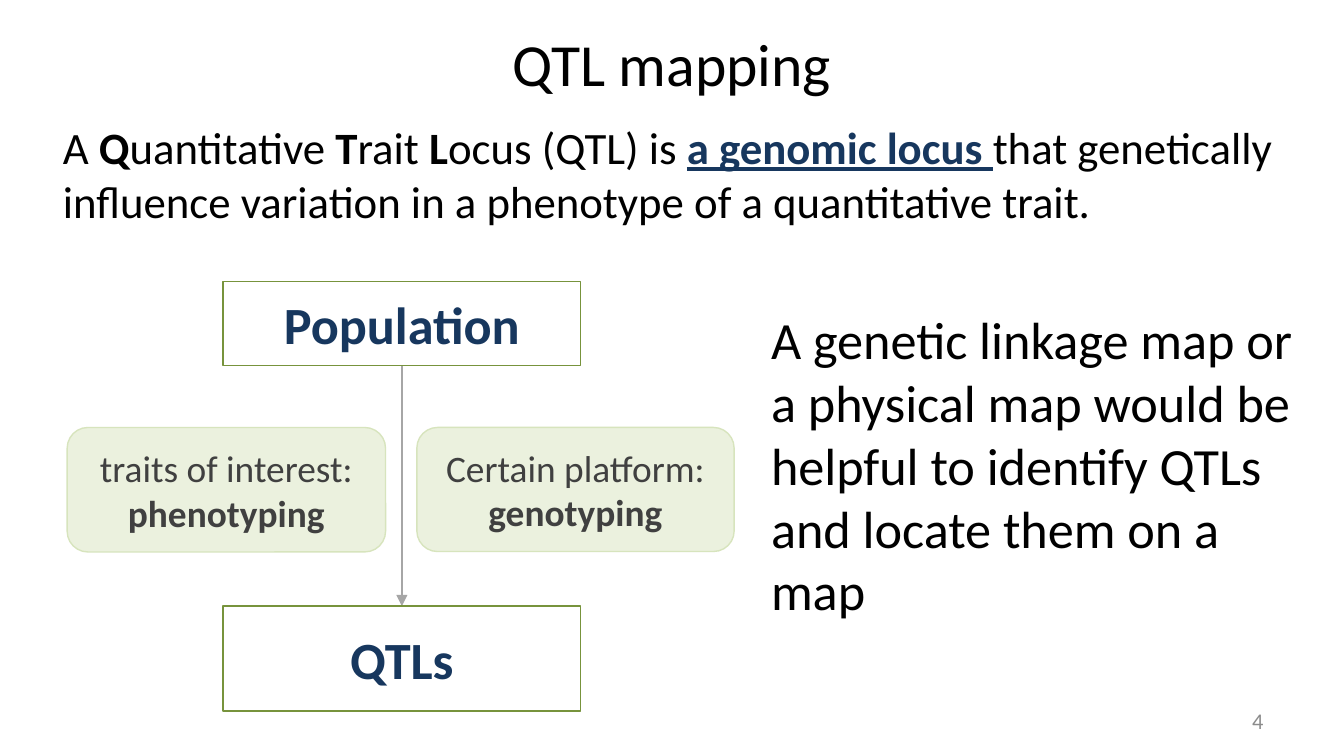
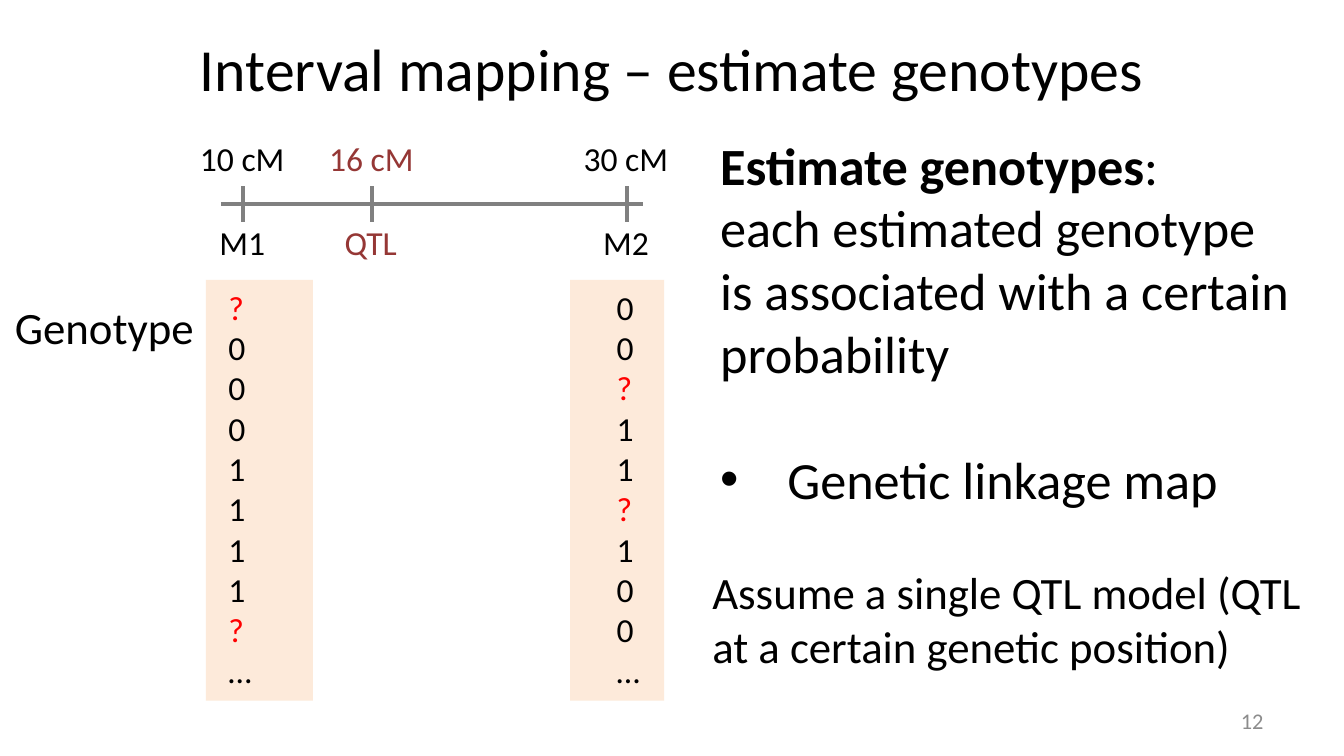
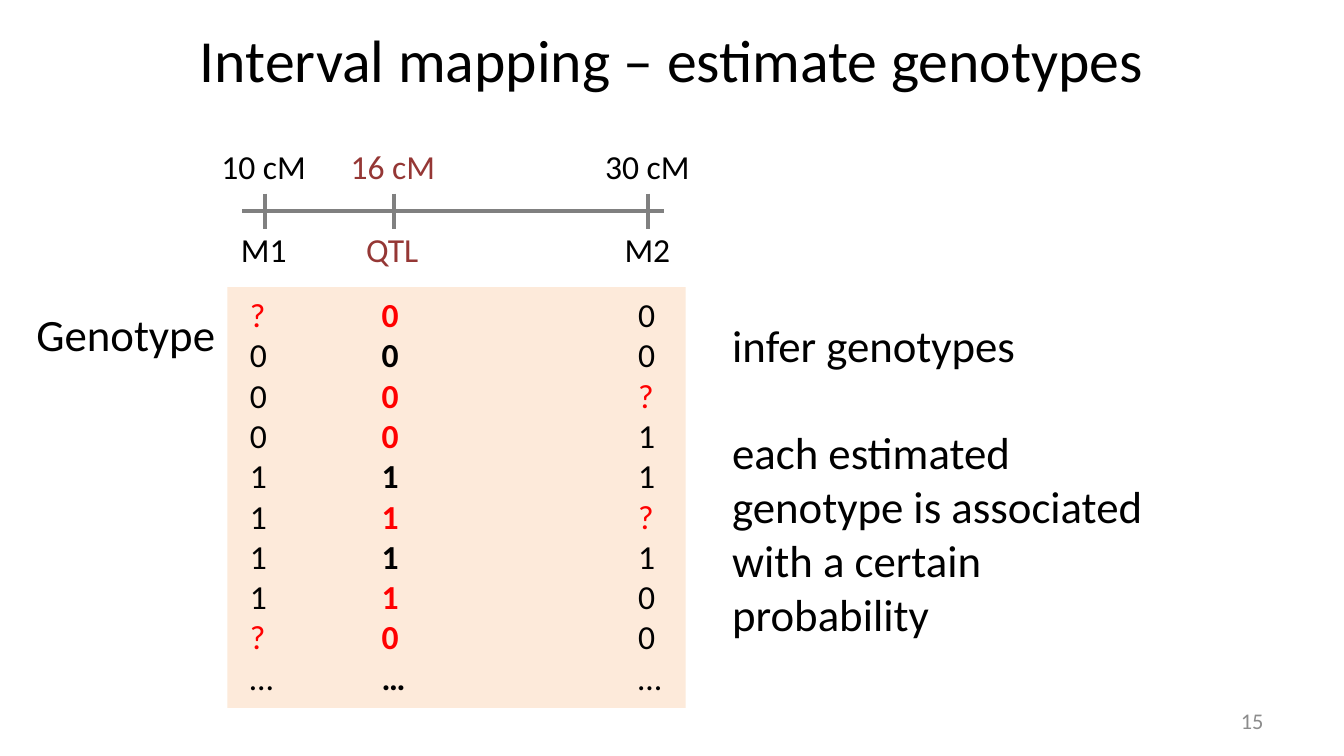
import lxml.etree
import pptx
import pptx.dml.color
import pptx.enum.shapes
import pptx.enum.text
import pptx.oxml
import pptx.oxml.ns
import pptx.util

Pt = pptx.util.Pt
qn = pptx.oxml.ns.qn
ALIGN = pptx.enum.text.PP_ALIGN
MIDDLE = pptx.enum.text.MSO_ANCHOR.MIDDLE
FIT = pptx.enum.text.MSO_AUTO_SIZE
SHAPES = pptx.enum.shapes.MSO_SHAPE

FONT = "Calibri"
COLOURS = {
    "text": "000000", "white": "FFFFFF", "navy": "17375E", "number": "8C8C8C",
    "box edge": "77933C", "step": "EBF1DE", "step edge": "D7E4BD", "step text": "404040",
    "arrow": "A6A6A6", "axis": "808080", "panel": "FDEADA", "qtl": "953735", "inferred": "FF0000",
}
RGB = {name: pptx.dml.color.RGBColor.from_string(value) for name, value in COLOURS.items()}
GROWING = {"word_wrap": True, "auto_size": FIT.SHAPE_TO_FIT_TEXT}
LABEL = {"word_wrap": False, "auto_size": FIT.SHAPE_TO_FIT_TEXT}
CENTRED = {"word_wrap": True, "auto_size": FIT.NONE, "vertical_anchor": MIDDLE}
FIXED = {"word_wrap": True, "auto_size": FIT.NONE}
BOLD = {"bold": True}


def write(shape, box, paragraphs, size, colour="text", frame=GROWING, align=ALIGN.LEFT):
    """Place a shape and fill it with paragraphs, each a list of (text, format) runs."""
    for side, length in zip(("left", "top", "width", "height"), box):
        setattr(shape, side, Pt(length))
    for name, value in frame.items():
        setattr(shape.text_frame, name, value)
    for index, runs in enumerate(paragraphs):
        paragraph = shape.text_frame.add_paragraph() if index else shape.text_frame.paragraphs[0]
        paragraph.alignment = align
        for text, changes in runs:
            run = paragraph.add_run()
            run.text = text
            look = {"name": FONT, "size": Pt(size), "colour": colour, **changes}
            run.font.color.rgb = RGB[look.pop("colour")]
            for name, value in look.items():
                setattr(run.font, name, value)
    return shape.text_frame.paragraphs


def connect(slide, start, end, colour, width):
    ends = [Pt(length) for length in (*start, *end)]
    connector = slide.shapes.add_connector(pptx.enum.shapes.MSO_CONNECTOR.STRAIGHT, *ends)
    connector.line.color.rgb = RGB[colour]
    connector.line.width = Pt(width)
    lxml.etree.SubElement(connector._element.spPr, qn("a:effectLst"))
    return connector


deck = pptx.Presentation()
deck.slide_width, deck.slide_height = Pt(720), Pt(405)

# Titles and slide numbers
TITLE_ONLY, TITLE_AND_BODY = deck.slide_layouts[5], deck.slide_layouts[1]
slides = []
for layout, title, top, height, number in (
    (TITLE_ONLY, "QTL mapping", 9.4, 48, "4"),
    (TITLE_AND_BODY, "Interval mapping – estimate genotypes", 4.5, 63, "12"),
    (TITLE_ONLY, "Interval mapping – estimate genotypes", 5, 52.5, "15"),
):
    slide = deck.slides.add_slide(layout)
    write(slide.shapes.title, (36, top, 648, height), [[(title, {})]], 32,
          frame=CENTRED, align=ALIGN.CENTER)
    write(slide.shapes.add_textbox(0, 0, 0, 0), (516, 375, 168, 21.6), [[(number, {})]], 12,
          "number", CENTRED, ALIGN.RIGHT)
    slides.append(slide)
overview, estimating, inferring = slides

# Definition of a QTL
definition = [
    ("A ", {}), ("Q", BOLD), ("uantitative ", {}), ("T", BOLD), ("rait ", {}), ("L", BOLD),
    ("ocus (QTL) is ", {}),
    ("a genomic locus ", {"colour": "navy", "bold": True, "underline": True}),
    ("that genetically influence variation in a phenotype of a quantitative trait.", {}),
]
write(overview.shapes.add_textbox(0, 0, 0, 0), (26.6, 60.5, 675.4, 65.5), [definition], 24)
map_use = "A genetic linkage map or a physical map would be helpful to identify QTLs and locate them on a map"
write(overview.shapes.add_textbox(0, 0, 0, 0), (406, 161.3, 296, 177), [[(map_use, {})]], 28)

# From population to QTLs
arrow = connect(overview, (215.3, 196), (215.3, 324.7), "arrow", 0.75)
lxml.etree.SubElement(arrow.line._get_or_add_ln(), qn("a:tailEnd"), type="triangle")
for outline, box, fill, edge, size, colour, runs in (
    (SHAPES.RECTANGLE, (119.5, 151, 191.5, 45), None, "box edge", 28, "navy",
     [("Population", BOLD)]),
    (SHAPES.RECTANGLE, (119.5, 324.7, 191.5, 56.2), "white", "box edge", 28, "navy",
     [("QTLs", BOLD)]),
    (SHAPES.ROUNDED_RECTANGLE, (36, 229, 170.6, 66.7), "step", "step edge", 20, "step text",
     [("traits of interest: ", {}), ("phenotyping", BOLD)]),
    (SHAPES.ROUNDED_RECTANGLE, (223.3, 229, 170, 66.5), "step", "step edge", 20, "step text",
     [("Certain platform: ", {}), ("genotyping", BOLD)]),
):
    stage = overview.shapes.add_shape(outline, 0, 0, 0, 0)
    stage.shadow.inherit = False
    if fill:
        stage.fill.solid()
        stage.fill.fore_color.rgb = RGB[fill]
    else:
        stage.fill.background()
    stage.line.color.rgb = RGB[edge]
    stage.line.width = Pt(0.75)
    write(stage, box, [runs], size, colour, CENTRED, ALIGN.CENTER)

# Marker maps: tick offset, position, name, name width, colour, genotypes, inferred rows
M1 = (20, "10 cM", "M1", 39.6, "text", 5, "?0001111?…", {0, 8}, {})
QTL = (89.2, "16 cM", "QTL", 44, "qtl", 75.6, "000011110…", {0, 2, 3, 5, 7, 8}, BOLD)
M2 = (225.5, "30 cM", "M2", 39.6, "text", 213, "00?11?100…", {2, 5}, {})
PANEL_WIDTH, PANEL_HEIGHT = 245.5, 225.4

for slide, left, top, qtl_known in ((estimating, 110.3, 150, False), (inferring, 121.8, 153.9, True)):
    areas = [((left, top, PANEL_WIDTH, PANEL_HEIGHT), "panel")]
    if not qtl_known:
        areas.append(((left + 57.5, top - 4.5, 137.5, 240.5), "white"))
    for box, fill in areas:
        area = slide.shapes.add_shape(SHAPES.RECTANGLE, *[Pt(length) for length in box])
        area.shadow.inherit = False
        area.fill.solid()
        area.fill.fore_color.rgb = RGB[fill]
        area.line.fill.background()

    axis = top - 40.7
    connect(slide, (left + 8, axis), (left + 234, axis), "axis", 2)
    for offset, position, name, name_width, colour, column, calls, inferred, weight in (M1, QTL, M2):
        tick = left + offset
        connect(slide, (tick, axis - 9.4), (tick, axis + 9.4), "axis", 2)
        for label, width, label_top in ((position, 60.5, top - 79.5), (name, name_width, top - 34.6)):
            write(slide.shapes.add_textbox(0, 0, 0, 0), (tick - width / 2, label_top, width, 29),
                  [[(label, {})]], 18, colour, LABEL)
        if name == "QTL" and not qtl_known:
            continue
        genotypes = [[(call, {"colour": "inferred" if row in inferred else "text", **weight})]
                     for row, call in enumerate(calls)]
        write(slide.shapes.add_textbox(0, 0, 0, 0), (left + column, top, 27.4, PANEL_HEIGHT),
              genotypes, 18, frame=LABEL)
    write(slide.shapes.add_textbox(0, 0, 0, 0), (left - 109.4, top + 6.8, 111.6, 36),
          [[("Genotype", {})]], 24, frame=LABEL)

# Estimating genotypes
probability = "each estimated genotype is associated with a certain probability"
steps = write(estimating.shapes.add_textbox(0, 0, 0, 0), (378.7, 67.7, 323.3, 211), [
    [("Estimate genotypes", BOLD), (":", {})],
    [(probability, {})],
    [("Genetic linkage map", {})],
], 28)
linkage = steps[2]._p.get_or_add_pPr()
linkage.set("marL", str(Pt(36)))
linkage.set("indent", str(-Pt(36)))
lxml.etree.SubElement(linkage, qn("a:buFont"), typeface="Arial")
lxml.etree.SubElement(linkage, qn("a:buChar"), char="•")
steps[2].space_before = Pt(34)

assumption = write(estimating.placeholders[1], (374.4, 298.8, 334.8, 77.8),
                   [[("Assume a single QTL model (QTL at a certain genetic position)", {})]],
                   24, frame=FIXED)[0]
plain = assumption._p.get_or_add_pPr()
plain.set("marL", "0")
plain.set("indent", "0")
lxml.etree.SubElement(plain, qn("a:buNone"))
assumption.space_before = Pt(0)

# Inferring genotypes
conclusions = write(inferring.shapes.add_textbox(0, 0, 0, 0), (385.2, 166.4, 240.5, 181.4),
                    [[("infer genotypes", {})], [(probability, {})]], 24)
conclusions[1].space_before = Pt(29)

deck.save("out.pptx")
